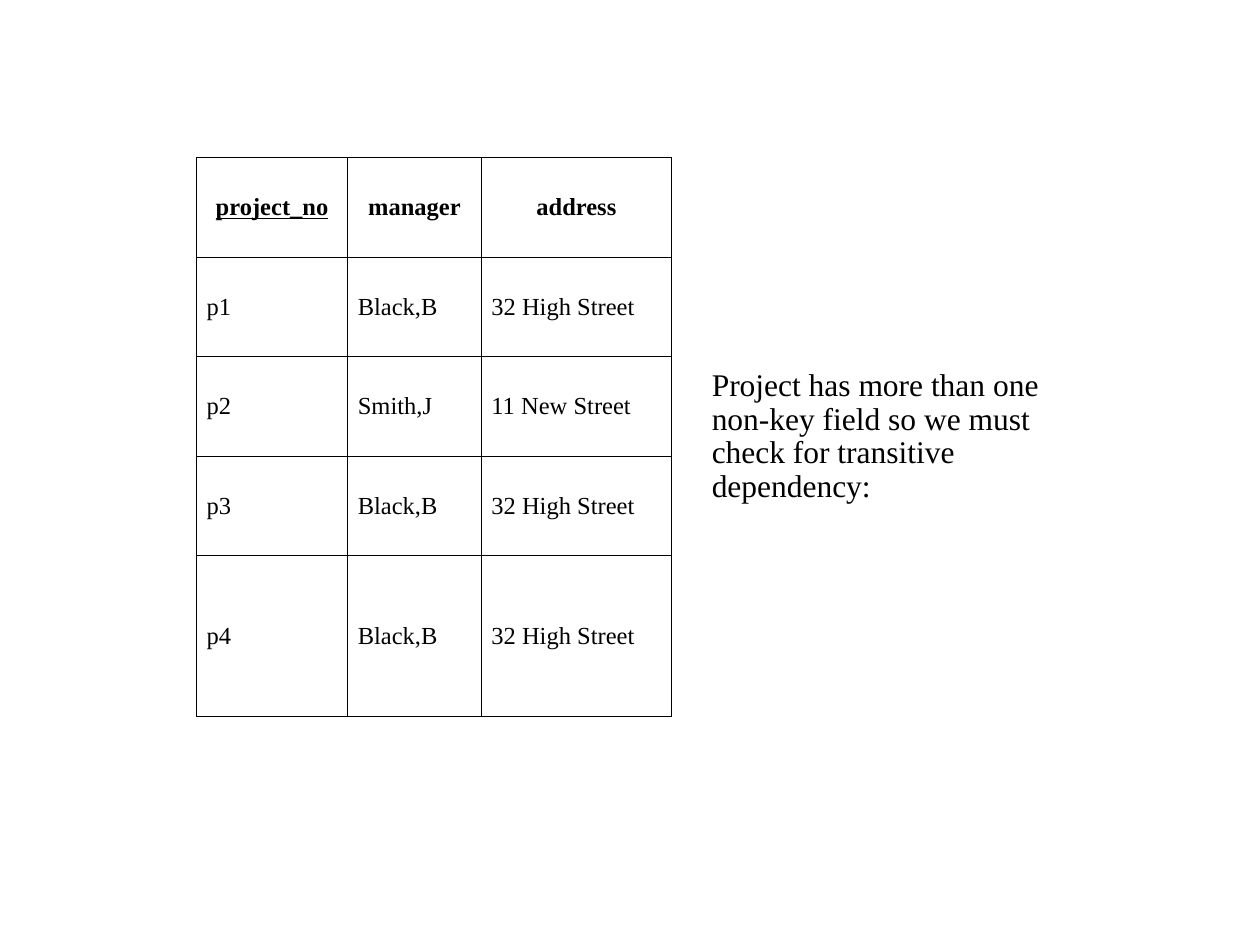
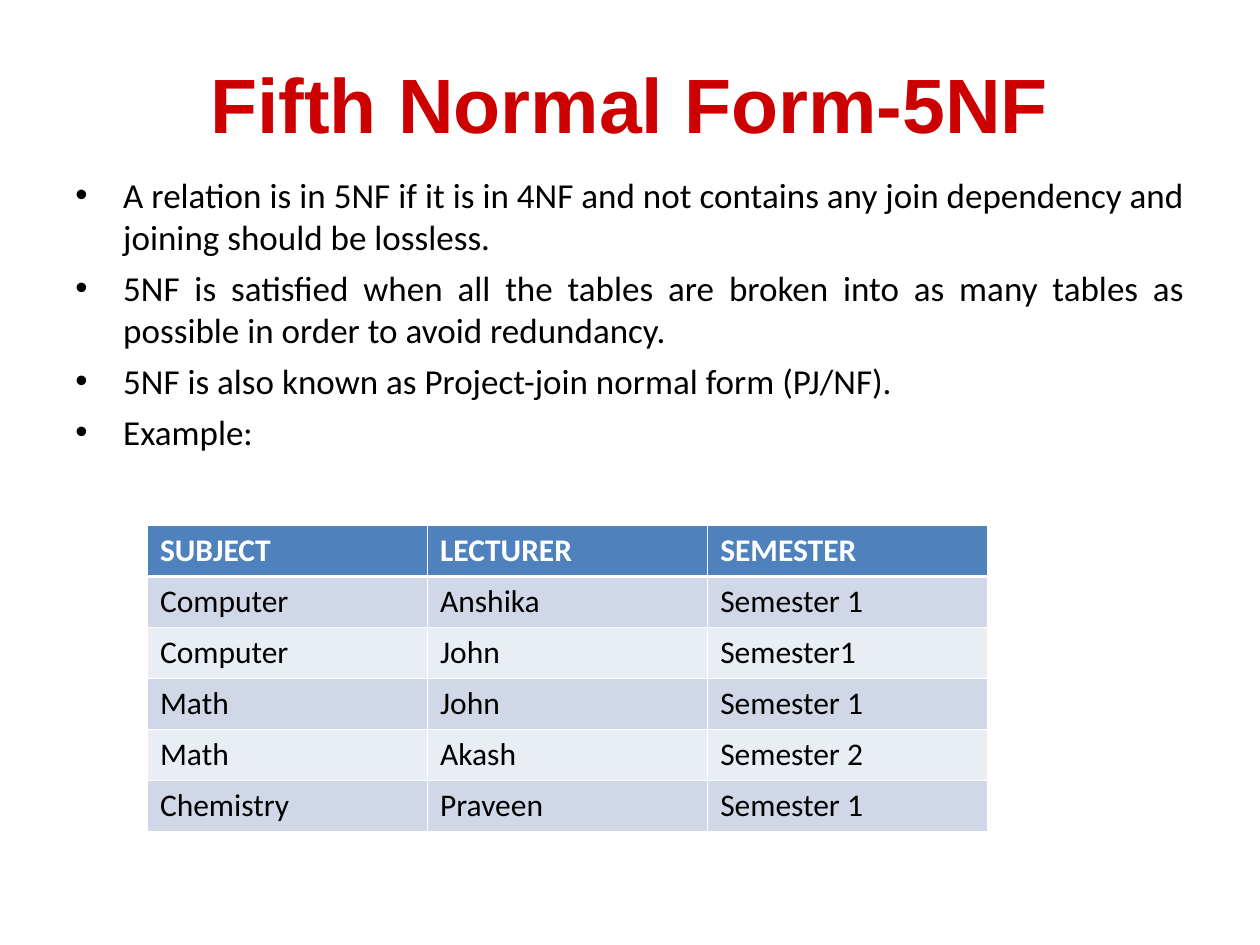
import pptx
import pptx.util
import pptx.dml.color
import pptx.enum.text
import pptx.oxml.ns
from lxml import etree

Inches, Pt = pptx.util.Inches, pptx.util.Pt
ALIGN = pptx.enum.text.PP_ALIGN
MIDDLE = pptx.enum.text.MSO_ANCHOR.MIDDLE
qn = pptx.oxml.ns.qn

# Content
PROJECTS = [
    ("project_no", "manager", "address"),
    ("p1", "Black,B", "32 High Street"),
    ("p2", "Smith,J", "11 New Street"),
    ("p3", "Black,B", "32 High Street"),
    ("p4", "Black,B", "32 High Street"),
]
PROJECT_NOTE = ("Project has more than one non-key field so we must "
                "check for transitive dependency:")
TITLE = "Fifth Normal Form-5NF"
BULLETS = [
    "A relation is in 5NF if it is in 4NF and not contains any join "
    "dependency and joining should be lossless.",
    "5NF is satisfied when all the tables are broken into as many tables "
    "as possible in order to avoid redundancy.",
    "5NF is also known as Project-join normal form (PJ/NF).",
    "Example:",
]
LECTURES = [
    ("SUBJECT", "LECTURER", "SEMESTER"),
    ("Computer", "Anshika", "Semester 1"),
    ("Computer", "John", "Semester1"),
    ("Math", "John", "Semester 1"),
    ("Math", "Akash", "Semester 2"),
    ("Chemistry", "Praveen", "Semester 1"),
]

# Shared look
COLORS = {"text": "000000", "white": "FFFFFF", "title": "CC0000",
          "header": "4F81BD", "odd": "D0D8E8", "even": "E9EDF4"}
SERIF, SANS, HEADING = "Times New Roman", "Calibri", "Arial"
PLAIN_TABLE = "{2D5ABB26-0587-4C30-8999-92F81FD0307C}"
THIN, THICK = 0.45, 1.47
INDENT = 0.38

prs = pptx.Presentation()
prs.slide_width, prs.slide_height = Inches(10), Inches(7.5)
MARGIN = 0.5
CONTENT_W = 10 - 2 * MARGIN


def rgb(name):
    return pptx.dml.color.RGBColor.from_string(COLORS[name])


def style(p, font, size, color="text", bold=False, align=ALIGN.LEFT):
    p.alignment = align
    for r in p.runs:
        r.font.name, r.font.size, r.font.bold = font, Pt(size), bold
        r.font.color.rgb = rgb(color)


def hang(p, bullet=None):
    pPr = p._p.get_or_add_pPr()
    pPr.set("marL", str(Inches(INDENT)))
    pPr.set("indent", str(-Inches(INDENT)))
    if bullet:
        etree.SubElement(pPr, qn("a:buFont")).set("typeface", HEADING)
        etree.SubElement(pPr, qn("a:buChar")).set("char", bullet)


def add_table(s, left, top, cols, rows):
    frame = s.shapes.add_table(len(rows), len(cols), Inches(left), Inches(top),
                               Inches(sum(cols)), Inches(sum(rows)))
    table = frame.table
    table.first_row = table.horz_banding = False
    table._tbl.tblPr.find(qn("a:tableStyleId")).text = PLAIN_TABLE
    for column, width in zip(table.columns, cols):
        column.width = Inches(width)
    for row, height in zip(table.rows, rows):
        row.height = Inches(height)
    return table


def border(cell, color, **widths):
    """Draw cell edges; widths are given by side: L, R, T, B."""
    tcPr = cell._tc.get_or_add_tcPr()
    for i, side in enumerate("LRTB"):
        ln = etree.Element(qn("a:ln" + side), w=str(Pt(widths.get(side, THIN))))
        fill = etree.SubElement(ln, qn("a:solidFill"))
        etree.SubElement(fill, qn("a:srgbClr")).set("val", COLORS[color])
        tcPr.insert(i, ln)


def inset(cell, side):
    cell.margin_left = cell.margin_right = Inches(side)
    cell.margin_top = cell.margin_bottom = Inches(0.05)


# Slide 1: project table with a note in its merged last column
s = prs.slides.add_slide(prs.slide_layouts[6])
table = add_table(s, 1.56, 1.25, [1.2, 1.06, 1.51, 0.19, 3.05],
                  [0.79] * 4 + [1.28])
for i, record in enumerate(PROJECTS):
    for j, text in enumerate(record):
        cell = table.cell(i, j)
        cell.text_frame.text = text
        cell.vertical_anchor = MIDDLE
        inset(cell, 0.08)
        border(cell, "text")
        p = cell.text_frame.paragraphs[0]
        style(p, SERIF, 14, bold=i == 0,
              align=ALIGN.CENTER if i == 0 else ALIGN.LEFT)
        hang(p)
table.cell(0, 0).text_frame.paragraphs[0].runs[0].font.underline = True

last = len(PROJECTS) - 1
for j in (3, 4):
    table.cell(0, j).merge(table.cell(last, j))
note = table.cell(0, 4)
note.text_frame.text = PROJECT_NOTE
note.vertical_anchor = MIDDLE
inset(note, 0.08)
p = note.text_frame.paragraphs[0]
style(p, SERIF, 18)
p.line_spacing = 0.96

# Slide 2: title
s = prs.slides.add_slide(prs.slide_layouts[5])
title = s.shapes.title
title.left, title.top = Inches(MARGIN), Inches(0.3)
title.width, title.height = Inches(CONTENT_W), Inches(1.03)
title.text_frame.text = TITLE
title.text_frame.vertical_anchor = MIDDLE
style(title.text_frame.paragraphs[0], HEADING, 44, "title", True, ALIGN.CENTER)

# Bulleted definition
box = s.shapes.add_textbox(Inches(MARGIN), Inches(1.33),
                           Inches(CONTENT_W), Inches(5.37))
tf = box.text_frame
tf.word_wrap = True
for i, text in enumerate(BULLETS):
    p = tf.add_paragraph() if i else tf.paragraphs[0]
    p.text = text
    p.space_before = Pt(5)
    style(p, SANS, 20, align=ALIGN.JUSTIFY)
    hang(p, "•")

# Banded example table
n = len(LECTURES)
table = add_table(s, 1.17, 4.17, [6.67 / 3] * 3, [2.43 / n] * n)
for i, record in enumerate(LECTURES):
    band = "header" if i == 0 else "odd" if i % 2 else "even"
    for j, text in enumerate(record):
        cell = table.cell(i, j)
        cell.text_frame.text = text
        inset(cell, 0.1)
        cell.fill.solid()
        cell.fill.fore_color.rgb = rgb(band)
        border(cell, "white", T=THICK if i == 1 else THIN,
               B=THICK if i == 0 else THIN)
        style(cell.text_frame.paragraphs[0], SANS, 18,
              "white" if i == 0 else "text", i == 0)

prs.save("out.pptx")
